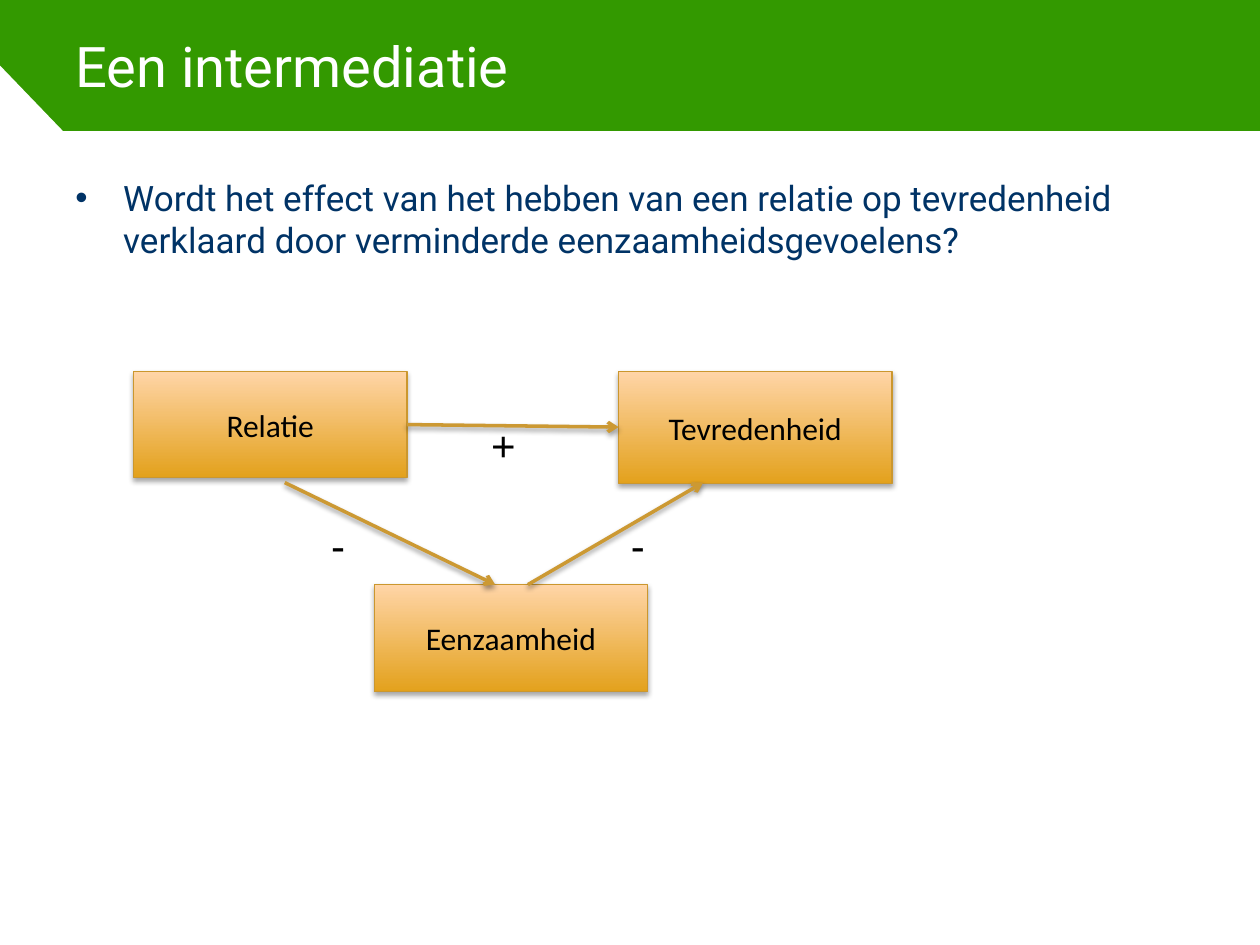
from dataclasses import dataclass

import pptx
import pptx.dml.color
import pptx.enum.shapes
import pptx.enum.text
import pptx.oxml
import pptx.oxml.ns
import pptx.util

Inches = pptx.util.Inches
Pt = pptx.util.Pt
RGB = pptx.dml.color.RGBColor
Anchor = pptx.enum.text.MSO_ANCHOR
Align = pptx.enum.text.PP_ALIGN
qn = pptx.oxml.ns.qn


@dataclass(frozen=True)
class Theme:
    green: RGB = RGB(0x33, 0x99, 0x00)
    white: RGB = RGB(0xFF, 0xFF, 0xFF)
    navy: RGB = RGB(0x00, 0x33, 0x66)
    black: RGB = RGB(0, 0, 0)
    box_bottom: RGB = RGB(0xE3, 0xA1, 0x1C)
    box_top: RGB = RGB(0xFF, 0xD5, 0xA7)
    box_border: RGB = RGB(0xCB, 0x97, 0x2E)
    arrow: RGB = RGB(0xCC, 0x99, 0x33)
    heading_font: str = "Roboto"
    box_font: str = "Calibri"
    sign_font: str = "Arial"
    title_size: int = 32
    question_size: int = 20
    box_size: int = 18
    sign_size: int = 24


@dataclass(frozen=True)
class Variable:
    label: str
    left: float
    top: float
    height: float


@dataclass(frozen=True)
class Effect:
    start: tuple[float, float]
    end: tuple[float, float]


@dataclass(frozen=True)
class Sign:
    symbol: str
    left: float
    top: float


THEME = Theme()
BOX_WIDTH = 2.17
VARIABLES = [
    Variable("Tevredenheid", 4.91, 2.95, 0.89),
    Variable("Relatie", 1.06, 2.95, 0.84),
    Variable("Eenzaamheid", 2.97, 4.64, 0.85),
]
EFFECTS = [
    Effect((3.23, 3.37), (4.91, 3.39)),
    Effect((4.19, 4.64), (5.58, 3.83)),
    Effect((2.26, 3.83), (3.93, 4.64)),
]
SIGNS = [Sign("+", 3.8, 3.28), Sign("-", 4.91, 4.07), Sign("-", 2.53, 4.07)]


def add_run(paragraph, text: str, font: str, size: int, color: RGB) -> None:
    run = paragraph.add_run()
    run.text = text
    run.font.name = font
    run.font.size = Pt(size)
    run.font.color.rgb = color


def add_text_area(slide, left: float, top: float, width: float, height: float):
    area = slide.shapes.add_textbox(
        Inches(left), Inches(top), Inches(width), Inches(height))
    area.text_frame.word_wrap = True
    return area.text_frame


def add_shadow(properties, distance: float, opacity: int) -> None:
    """Put a soft downward shadow on a shape or connector; call after its line is set."""
    for inherited in properties.findall(qn("a:effectLst")):
        properties.remove(inherited)
    properties.append(pptx.oxml.parse_xml(
        f'<a:effectLst {pptx.oxml.ns.nsdecls("a")}>'
        f'<a:outerShdw blurRad="{Pt(3.1)}" dist="{Pt(distance)}" dir="5400000" rotWithShape="0">'
        f'<a:srgbClr val="{THEME.black}"><a:alpha val="{opacity * 1000}"/></a:srgbClr>'
        '</a:outerShdw></a:effectLst>'))


def add_band(slide) -> None:
    """Green background with a white content area that leaves the title band free."""
    slide.background.fill.solid()
    slide.background.fill.fore_color.rgb = THEME.green
    outline = slide.shapes.build_freeform(Inches(0.5), Inches(1.04))
    corners = [(0, 0.52), (0, 7.5), (10, 7.5), (10, 1.04)]
    outline.add_line_segments([(Inches(x), Inches(y)) for x, y in corners], close=True)
    content_area = outline.convert_to_shape()
    content_area.shadow.inherit = False
    content_area.fill.solid()
    content_area.fill.fore_color.rgb = THEME.white
    content_area.line.fill.background()


def add_title(slide, text: str) -> None:
    frame = add_text_area(slide, 0.5, 0, 9, 1.04)
    frame.vertical_anchor = Anchor.MIDDLE
    add_run(frame.paragraphs[0], text, THEME.heading_font, THEME.title_size, THEME.white)


def add_question(slide, text: str) -> None:
    paragraph = add_text_area(slide, 0.5, 1.35, 9, 5.12).paragraphs[0]
    paragraph.space_before = Pt(4)
    paragraph.space_after = Pt(6)
    add_run(paragraph, text, THEME.heading_font, THEME.question_size, THEME.navy)
    settings = paragraph._p.get_or_add_pPr()
    settings.set("marL", str(Inches(0.38)))
    settings.set("indent", str(Inches(-0.38)))
    for bullet in ('buFont typeface="Arial"', 'buChar char="•"'):
        settings.append(pptx.oxml.parse_xml(f'<a:{bullet} {pptx.oxml.ns.nsdecls("a")}/>'))


def add_variable(slide, variable: Variable) -> None:
    box = slide.shapes.add_shape(
        pptx.enum.shapes.MSO_SHAPE.RECTANGLE, Inches(variable.left), Inches(variable.top),
        Inches(BOX_WIDTH), Inches(variable.height))
    box.shadow.inherit = False
    box.fill.gradient()
    box.fill.gradient_angle = 90
    for stop, color in zip(box.fill.gradient_stops, (THEME.box_bottom, THEME.box_top)):
        stop.color.rgb = color
    for stop, position in zip(box.fill.gradient_stops, (0, 1)):
        stop.position = position
    box.line.color.rgb = THEME.box_border
    box.line.width = Pt(0.75)
    add_shadow(box.element.spPr, distance=1.8, opacity=35)
    box.text_frame.vertical_anchor = Anchor.MIDDLE
    paragraph = box.text_frame.paragraphs[0]
    paragraph.alignment = Align.CENTER
    add_run(paragraph, variable.label, THEME.box_font, THEME.box_size, THEME.black)


def add_effect(slide, effect: Effect) -> None:
    arrow = slide.shapes.add_connector(
        pptx.enum.shapes.MSO_CONNECTOR.STRAIGHT,
        *(Inches(value) for value in effect.start + effect.end))
    arrow.line.color.rgb = THEME.arrow
    arrow.line.width = Pt(2)
    properties = arrow.element.spPr
    properties.find(qn("a:ln")).append(pptx.oxml.parse_xml(
        f'<a:tailEnd {pptx.oxml.ns.nsdecls("a")} type="arrow"/>'))
    add_shadow(properties, distance=1.6, opacity=38)


def add_sign(slide, sign: Sign) -> None:
    frame = add_text_area(slide, sign.left, sign.top, 0.44, 0.51)
    frame.auto_size = pptx.enum.text.MSO_AUTO_SIZE.SHAPE_TO_FIT_TEXT
    add_run(frame.paragraphs[0], sign.symbol, THEME.sign_font, THEME.sign_size, THEME.black)


def main() -> None:
    deck = pptx.Presentation()
    deck.slide_width, deck.slide_height = Inches(10), Inches(7.5)
    slide = deck.slides.add_slide(deck.slide_layouts[6])
    add_band(slide)
    add_title(slide, "Een intermediatie")
    add_question(slide, "Wordt het effect van het hebben van een relatie op tevredenheid "
                        "verklaard door verminderde eenzaamheidsgevoelens?")
    for variable in VARIABLES:
        add_variable(slide, variable)
    for effect in EFFECTS:
        add_effect(slide, effect)
    for sign in SIGNS:
        add_sign(slide, sign)
    deck.save("out.pptx")


if __name__ == "__main__":
    main()
